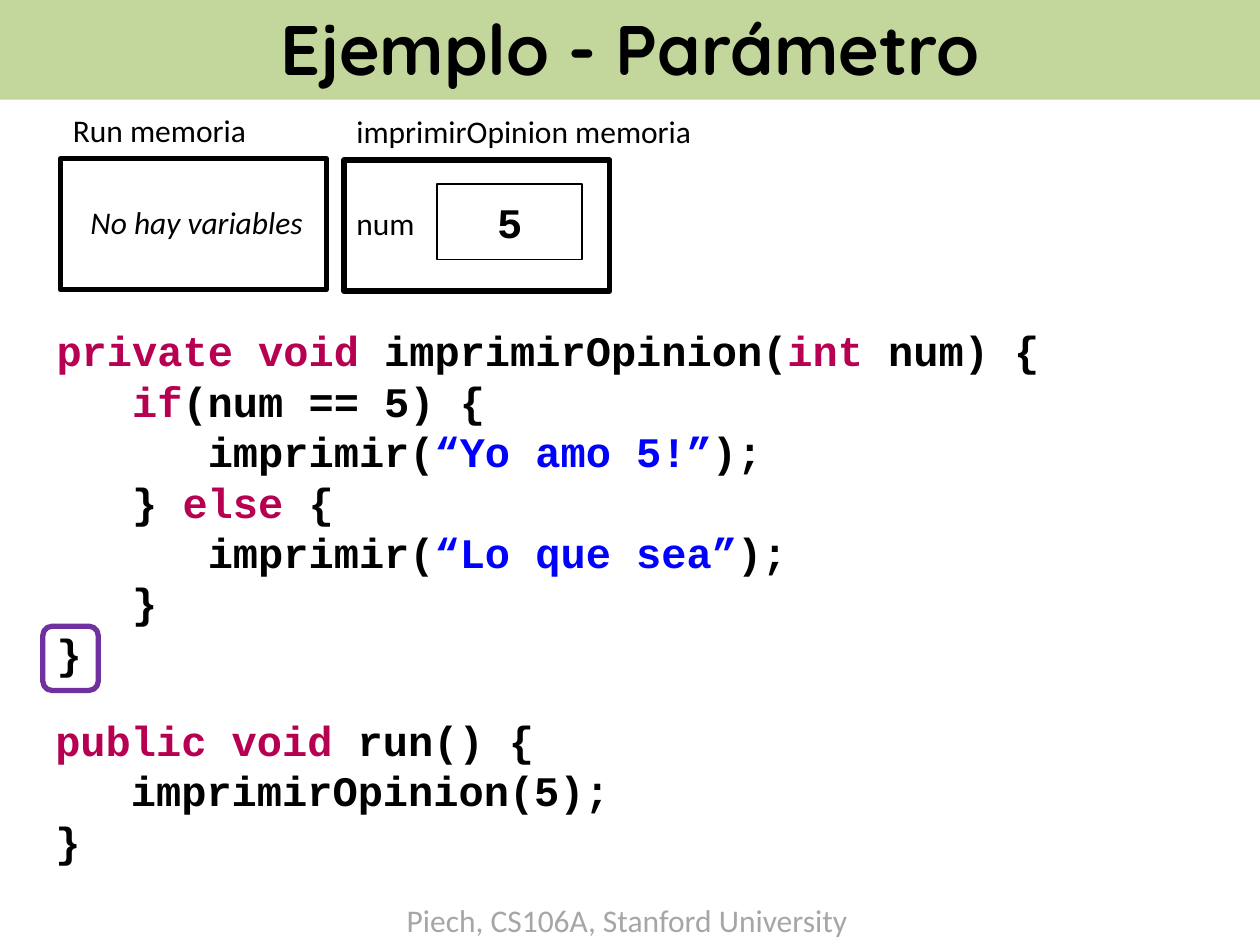
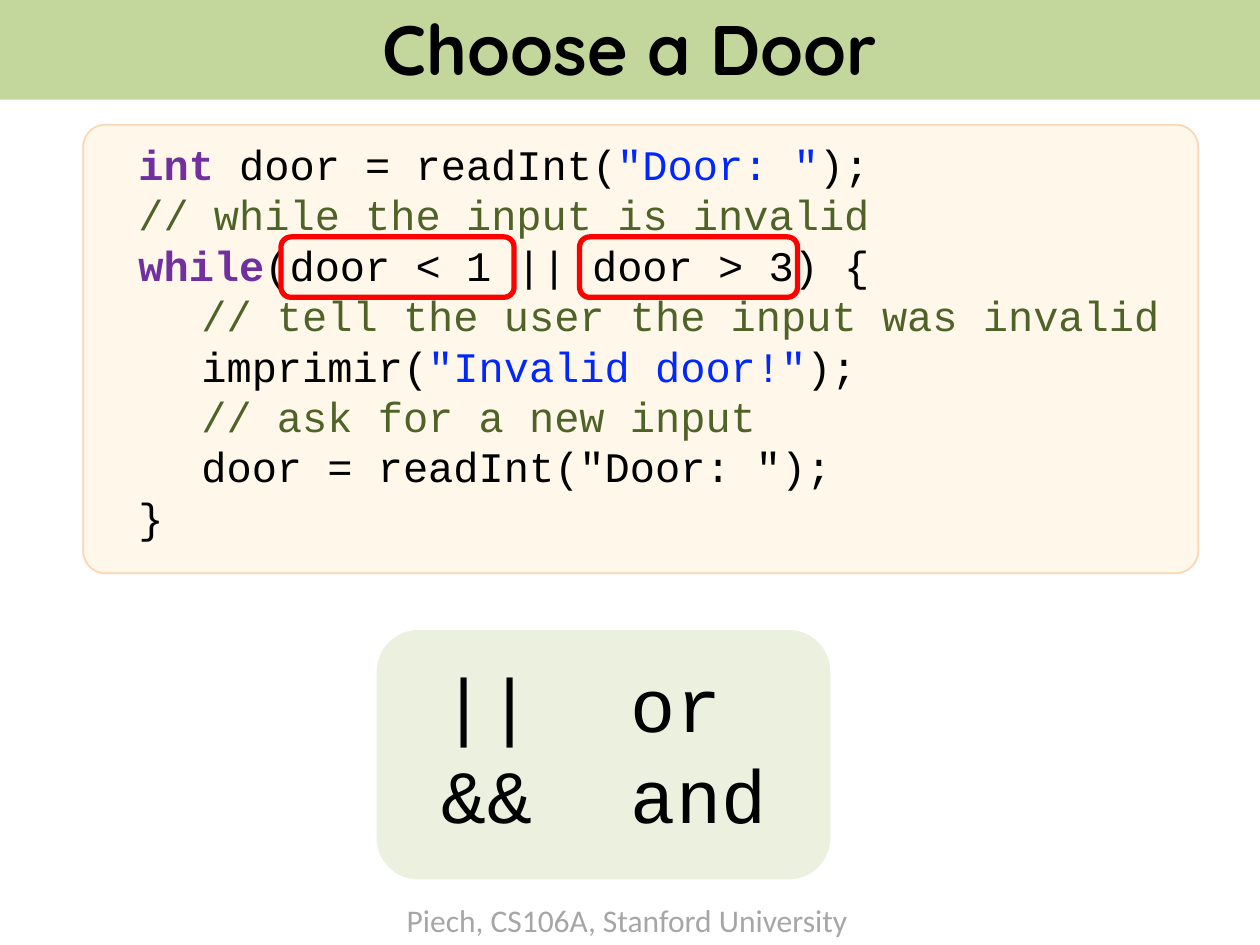
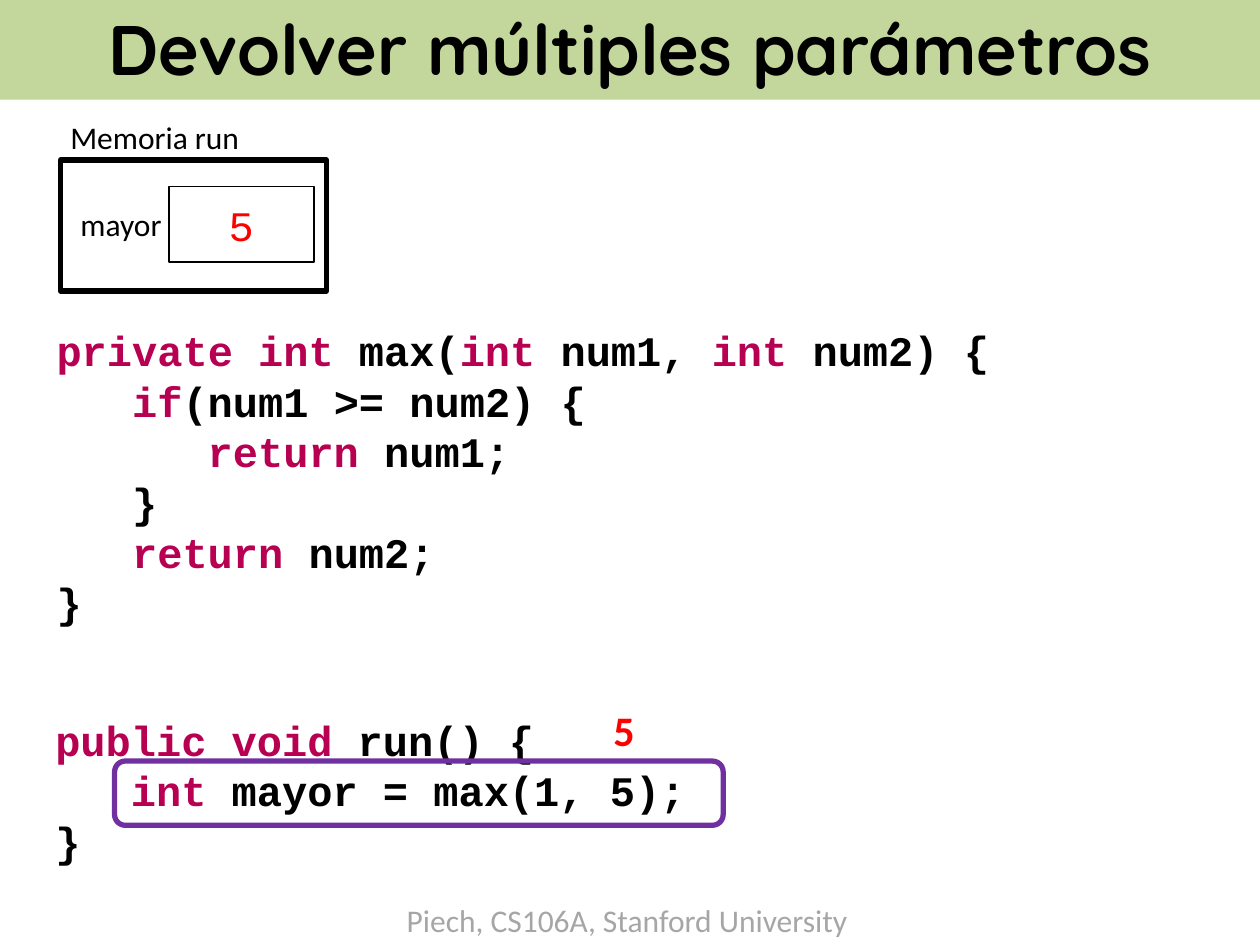
from pptx import Presentation
from pptx.dml.color import RGBColor
from pptx.enum.shapes import MSO_SHAPE as Shape
from pptx.enum.text import MSO_ANCHOR as Anchor, PP_ALIGN as Align
from pptx.oxml.ns import qn
from pptx.util import Inches, Pt
from lxml.etree import SubElement

# Colours
BLACK = RGBColor(0x00, 0x00, 0x00)
GRAY = RGBColor(0xA6, 0xA6, 0xA6)
RED = RGBColor(0xFF, 0x00, 0x00)
PURPLE = RGBColor(0x70, 0x30, 0xA0)
MAGENTA = RGBColor(0xB7, 0x00, 0x51)
BLUE = RGBColor(0x00, 0x00, 0xFF)
BRIGHT_BLUE = RGBColor(0x00, 0x27, 0xFF)
OLIVE = RGBColor(0x4F, 0x62, 0x28)
BAND_GREEN = RGBColor(0xC3, 0xD6, 0x9B)
PALE_GREEN = RGBColor(0xEB, 0xF1, 0xDE)
CREAM = RGBColor(0xFF, 0xF8, 0xEA)
PEACH = RGBColor(0xFC, 0xD5, 0xB5)

# Grid: 100 columns by 75 rows
COLUMNS, ROWS = 100, 75

# Text formats
TITLE = dict(name="Quicksand", size=Pt(40), bold=True, color=BLACK)
LABEL = dict(name="Calibri", size=Pt(18), color=BLACK)
CODE = dict(name="Courier New", size=Pt(24), color=BLACK)
BOLD_CODE = CODE | dict(bold=True)
FOOTER = "Piech, CS106A, Stanford University"


def keyword(text, color=MAGENTA):
    return text, dict(color=color, bold=True)


def tinted(text, color):
    return text, dict(color=color)


class Lesson:
    """Holds the deck, the shared style and the current page."""

    def __init__(self):
        self.deck = Presentation()
        self.deck.slide_width, self.deck.slide_height = Inches(10), Inches(7.5)
        self.page = None

    def place(self, left, top, width, height):
        column = self.deck.slide_width / COLUMNS
        row = self.deck.slide_height / ROWS
        return [round(n * unit) for n, unit in
                zip((left, top, width, height), (column, row, column, row))]

    def new_page(self, title):
        self.page = self.deck.slides.add_slide(self.deck.slide_layouts[6])
        self.text(31.3, 71, 40, 4, [FOOTER], LABEL | dict(color=GRAY))
        band = self.shape(0, -0.3, COLUMNS, 8.2, fill=BAND_GREEN)
        self.fill_text(band.text_frame, [title], TITLE, Align.CENTER)

    def fill_text(self, frame, lines, style, align=Align.LEFT, tab=None):
        """Each line is a string or a list of strings and (text, format) spans."""
        for index, line in enumerate(lines):
            para = frame.add_paragraph() if index else frame.paragraphs[0]
            para.alignment = align
            if tab:
                stops = SubElement(para._p.get_or_add_pPr(), qn("a:tabLst"))
                SubElement(stops, qn("a:tab"), pos=str(Inches(tab)), algn="l")
            for span in [line] if isinstance(line, str) else line:
                text, change = (span, {}) if isinstance(span, str) else span
                run = para.add_run()
                run.text = text
                for key, value in (style | change).items():
                    if key == "color":
                        run.font.color.rgb = value
                    else:
                        setattr(run.font, key, value)

    def text(self, left, top, width, height, lines, style, tab=None):
        box = self.page.shapes.add_textbox(*self.place(left, top, width, height))
        box.text_frame.word_wrap = True
        self.fill_text(box.text_frame, lines, style, tab=tab)

    def shape(self, left, top, width, height, kind=Shape.RECTANGLE,
              fill=None, line=None, weight=3, corner=None):
        item = self.page.shapes.add_shape(kind, *self.place(left, top, width, height))
        item.shadow.inherit = False
        if fill is None:
            item.fill.background()
        else:
            item.fill.solid()
            item.fill.fore_color.rgb = fill
        if line is None:
            item.line.fill.background()
        else:
            item.line.color.rgb = line
            item.line.width = Pt(weight)
        if corner is not None:
            item.adjustments[0] = corner
        item.text_frame.vertical_anchor = Anchor.MIDDLE
        return item

    def panel(self, left, top, width, height, **look):
        return self.shape(left, top, width, height, Shape.ROUNDED_RECTANGLE, **look)

    def label(self, left, top, text, width=30, **change):
        self.text(left, top, width, 4, [text], LABEL | change)

    def memory(self, left, top):
        self.shape(left, top, 21.1, 10.4, line=BLACK)

    def variable(self, left, top, value, style):
        cell = self.shape(left, top, 11.5, 6, line=BLACK, weight=1)
        self.fill_text(cell.text_frame, [value], style, Align.CENTER)

    def program(self, method, call):
        """The method above, and the run method that calls it below."""
        self.text(3.5, 25.3, 93.2, 30, method, BOLD_CODE)
        run = [[keyword("public void "), "run() {"], call, "}"]
        self.text(3.4, 56.2, 93.2, 12.8, run, BOLD_CODE)


def parameter_page(lesson):
    lesson.new_page("Ejemplo - Parámetro")
    lesson.program([
        [keyword("private void "), "imprimirOpinion(", keyword("int "), "num) {"],
        ["   ", keyword("if"), "(num == 5) {"],
        ["      imprimir(", tinted("“Yo amo 5!”", BLUE), ");"],
        ["   } ", keyword("else "), "{"],
        ["      imprimir(", tinted("“Lo que sea”", BLUE), ");"],
        "   }",
        "}",
    ], "   imprimirOpinion(5);")

    # Memory of run
    lesson.memory(4.8, 12.6)
    lesson.label(6.2, 15.6, "No hay variables", 20, italic=True)
    lesson.label(4.8, 8.3, "Run memoria", 20)

    # Memory of the method
    lesson.memory(27.3, 12.7)
    lesson.label(27.3, 8.4, "imprimirOpinion memoria")
    lesson.label(27.3, 15.7, "num", 8)
    lesson.variable(34.7, 14.6, "5", BOLD_CODE)

    # Current line
    lesson.panel(3.4, 49.7, 4.4, 5.1, line=PURPLE)


def door_page(lesson):
    lesson.new_page("Choose a Door")
    lesson.panel(6.6, 9.9, 88.5, 35.6, fill=CREAM, line=PEACH, weight=1, corner=0.05)
    lesson.panel(29.9, 50, 36, 19.8, fill=PALE_GREEN)
    lesson.text(10, 10.5, 85, 33.3, [
        [keyword("int ", PURPLE), "door = readInt(",
         tinted('"Door: "', BRIGHT_BLUE), ");"],
        [tinted("// while the input is invalid", OLIVE)],
        [keyword("while", PURPLE), "(door < 1 || door > 3) {"],
        [tinted("\t// tell the user the input was invalid", OLIVE)],
        ["\timprimir(", tinted('"Invalid door!"', BRIGHT_BLUE), ");"],
        [tinted("\t// ask for a new input", OLIVE)],
        '\tdoor = readInt("Door: ");',
        "}",
    ], CODE, tab=0.5)

    # Meaning of the operators
    lesson.text(34.1, 51.7, 30.3, 15.5, ["||\tor", "&&\tand"],
                CODE | dict(size=Pt(43)), tab=1.5)

    # Both conditions
    for left, width in ((22.3, 18.5), (46, 17.3)):
        lesson.panel(left, 18.8, width, 4.8, line=RED)


def return_page(lesson):
    lesson.new_page("Devolver múltiples parámetros")
    lesson.program([
        [keyword("private int "), "max(", keyword("int "), "num1, ",
         keyword("int "), "num2) {"],
        ["   ", keyword("if"), "(num1 >= num2) {"],
        ["      ", keyword("return "), "num1;"],
        "   }",
        ["   ", keyword("return "), "num2;"],
        "}",
    ], ["   ", keyword("int"), " mayor = max(1, 5);"])

    # Memory of run
    lesson.memory(4.8, 12.7)
    lesson.label(4.6, 8.9, "Memoria run", 20)
    lesson.label(5.4, 15.8, "mayor", 10)
    lesson.variable(13.4, 14.8, "5", CODE | dict(color=RED))

    # Current line and its returned value
    lesson.panel(9.1, 60.4, 48.3, 5.1, line=PURPLE)
    lesson.label(47.7, 55.4, "5", 5, size=Pt(24), bold=True, color=RED)


def main():
    lesson = Lesson()
    for build in (parameter_page, door_page, return_page):
        build(lesson)
    lesson.deck.save("out.pptx")


if __name__ == "__main__":
    main()
